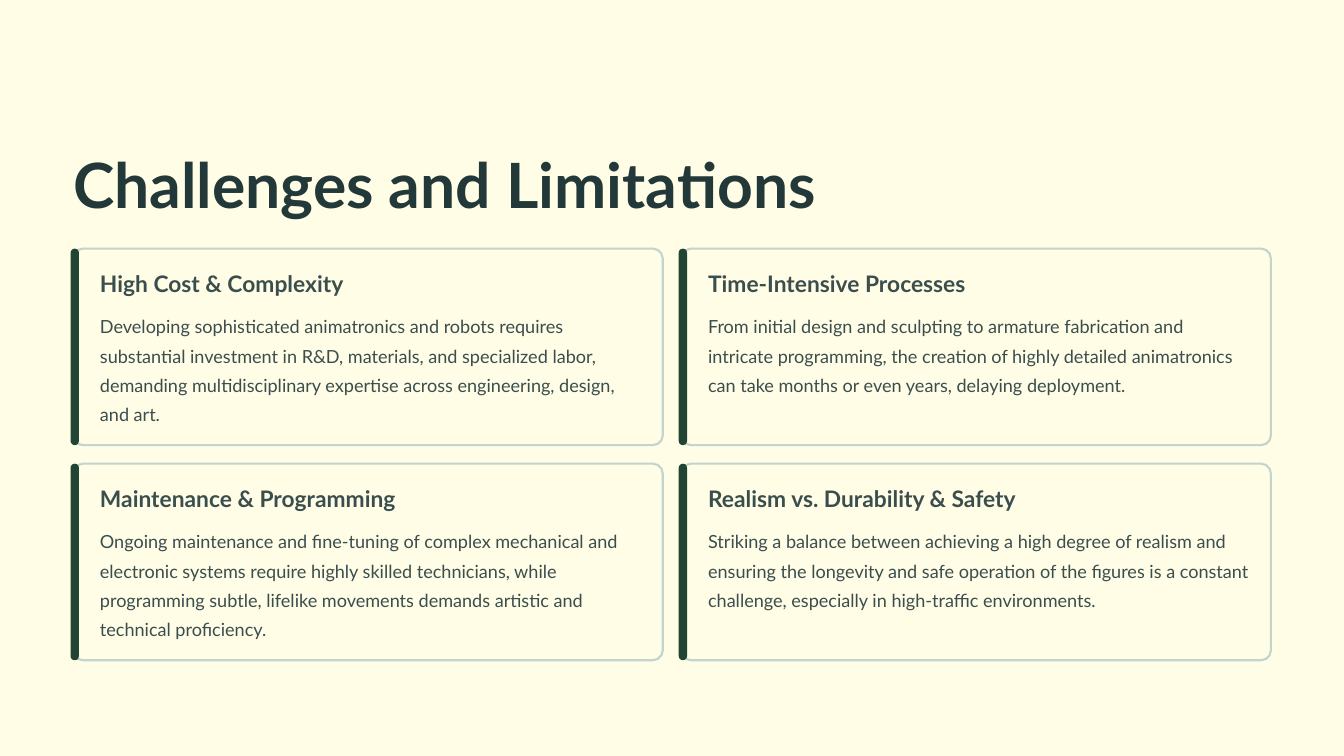
from dataclasses import dataclass

from pptx import Presentation
from pptx.dml.color import RGBColor
from pptx.enum.shapes import MSO_SHAPE
from pptx.enum.text import MSO_ANCHOR, MSO_AUTO_SIZE, PP_ALIGN
from pptx.util import Inches, Pt

ROUNDED = MSO_SHAPE.ROUNDED_RECTANGLE
TOP = MSO_ANCHOR.TOP
LEFT = PP_ALIGN.LEFT
NO_AUTOFIT = MSO_AUTO_SIZE.NONE


@dataclass(frozen=True)
class Theme:
    font: str = "Lato"
    background: str = "FFFDE6"
    border: str = "C3D4CC"
    accent: str = "224435"
    # Text styles: size, line spacing, colour, bold
    title: tuple = (53.5, 67, "233939", True)
    heading: tuple = (19.5, 24, "3B4E4E", True)
    body: tuple = (15.5, 25, "3B4E4E", False)


THEME = Theme()


def write_text(shape, text, style, wrap):
    size, spacing, color, bold = style
    frame = shape.text_frame
    frame_format = {
        "margin_left": 0, "margin_top": 0, "margin_right": 0, "margin_bottom": 0,
        "word_wrap": wrap, "auto_size": NO_AUTOFIT, "vertical_anchor": TOP,
    }
    for name, value in frame_format.items():
        setattr(frame, name, value)
    paragraph = frame.paragraphs[0]
    paragraph.text = text
    paragraph.alignment = LEFT
    paragraph.line_spacing = Pt(spacing)
    font = paragraph.runs[0].font
    for name, value in {"name": THEME.font, "size": Pt(size), "bold": bold}.items():
        setattr(font, name, value)
    font.color.rgb = RGBColor.from_string(color)


def add_panel(slide, left, top, width, height, radius, fill):
    shape = slide.shapes.add_shape(
        ROUNDED, Inches(left), Inches(top), Inches(width), Inches(height))
    shape.adjustments[0] = radius
    shape.shadow.inherit = False
    shape.fill.solid()
    shape.fill.fore_color.rgb = RGBColor.from_string(fill)
    shape.line.fill.background()
    return shape


presentation = Presentation()
presentation.slide_width = Inches(16)
presentation.slide_height = Inches(9)
slide = presentation.slides.add_slide(presentation.slide_layouts[5])
slide.background.fill.solid()
slide.background.fill.fore_color.rgb = RGBColor.from_string(THEME.background)

# Title
title = slide.shapes.title
title.left, title.top = Inches(0.87), Inches(1.7)
title.width, title.height = Inches(11.18), Inches(0.94)
write_text(title, "Challenges and Limitations", THEME.title, False)

# Cards in a two-by-two grid
GRID_LEFT, GRID_TOP = 0.87, 2.96
CARD_WIDTH, CARD_HEIGHT, GAP = 7.02, 2.34, 0.22
TEXT_INSET, TEXT_WIDTH = 0.32, 6.46
cards = [
    ("High Cost & Complexity",
     "Developing sophisticated animatronics and robots requires substantial "
     "investment in R&D, materials, and specialized labor, demanding "
     "multidisciplinary expertise across engineering, design, and art."),
    ("Time-Intensive Processes",
     "From initial design and sculpting to armature fabrication and intricate "
     "programming, the creation of highly detailed animatronics can take months "
     "or even years, delaying deployment."),
    ("Maintenance & Programming",
     "Ongoing maintenance and fine-tuning of complex mechanical and electronic "
     "systems require highly skilled technicians, while programming subtle, "
     "lifelike movements demands artistic and technical proficiency."),
    ("Realism vs. Durability & Safety",
     "Striking a balance between achieving a high degree of realism and ensuring "
     "the longevity and safe operation of the figures is a constant challenge, "
     "especially in high-traffic environments."),
]

for index, (heading, body) in enumerate(cards):
    row, column = divmod(index, 2)
    left = GRID_LEFT + column * (CARD_WIDTH + GAP)
    top = GRID_TOP + row * (CARD_HEIGHT + GAP)

    # Outlined card and its accent bar
    card = add_panel(slide, left, top, CARD_WIDTH, CARD_HEIGHT, 0.05, THEME.background)
    card.line.color.rgb = RGBColor.from_string(THEME.border)
    card.line.width = Pt(1.8)
    add_panel(slide, left - 0.03, top, 0.1, CARD_HEIGHT, 0.5, THEME.accent)

    # Heading and description
    for text, style, offset, height, wrap in (
        (heading, THEME.heading, 0.24, 0.34, False),
        (body, THEME.body, 0.71, 1.39, True),
    ):
        text_box = slide.shapes.add_textbox(
            Inches(left + TEXT_INSET), Inches(top + offset),
            Inches(TEXT_WIDTH), Inches(height))
        write_text(text_box, text, style, wrap)

presentation.save("out.pptx")
